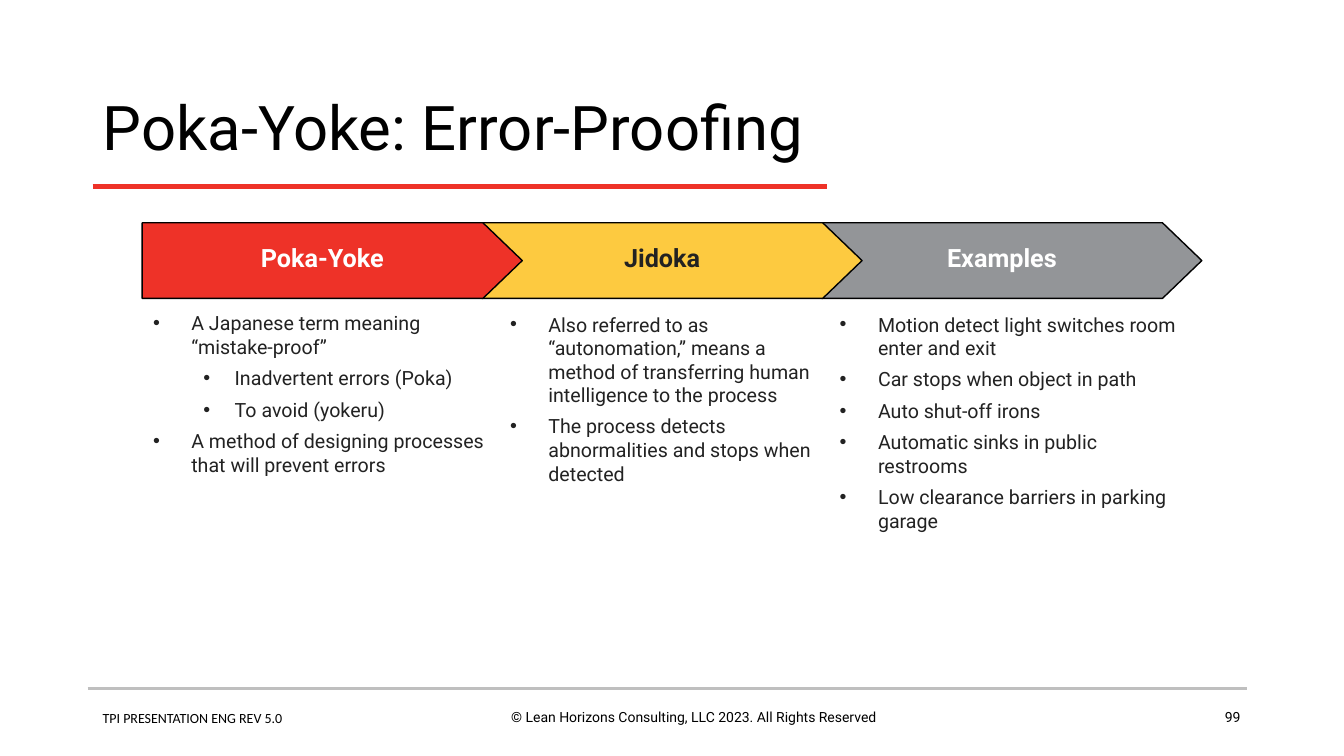
"""Build the Poka-Yoke error-proofing slide."""
import lxml.etree
import pptx
import pptx.dml.color
import pptx.enum.shapes
import pptx.enum.text
import pptx.oxml.ns
import pptx.util

WIDTH, HEIGHT = pptx.util.Inches(13.33), pptx.util.Inches(7.5)
ALIGN = pptx.enum.text.PP_ALIGN
MIDDLE = pptx.enum.text.MSO_ANCHOR.MIDDLE
INDENTS = [(0.38, -0.38), (0.81, -0.31)]
ARROW_LEFT, ARROW_STEP = 10.58, 25.28
COLUMNS = [
    ("Poka-Yoke", "EE3228", "FFFFFF", (10.65, 40.53, 26.18, 32.8), [
        (0, "A Japanese term meaning “mistake-proof”"),
        (1, "Inadvertent errors (Poka)"),
        (1, "To avoid (yokeru)"),
        (0, "A method of designing processes that will prevent errors")]),
    ("Jidoka", "FDCA40", "222222", (37.21, 40.67, 24.31, 32.8), [
        (0, "Also referred to as “autonomation,” means a method of "
            "transferring human intelligence to the process"),
        (0, "The process detects abnormalities and stops when detected")]),
    ("Examples", "939598", "FFFFFF", (61.74, 40.67, 26.56, 32.8), [
        (0, "Motion detect light switches room enter and exit"),
        (0, "Car stops when object in path"),
        (0, "Auto shut-off irons"),
        (0, "Automatic sinks in public restrooms"),
        (0, "Low clearance barriers in parking garage")]),
]


def color(target, value):
    """Set a colour format from a hex string."""
    target.rgb = pptx.dml.color.RGBColor.from_string(value)


def x(share):
    """Turn a percentage of the slide width into a length."""
    return int(WIDTH * share / 100)


def y(share):
    """Turn a percentage of the slide height into a length."""
    return int(HEIGHT * share / 100)


def box(left, top, width, height):
    """Turn a box in percent of the slide into lengths."""
    return x(left), y(top), x(width), y(height)


def write(p, text, size=10, font="Roboto", fill="000000", bold=False,
          align=ALIGN.LEFT, spacing=None):
    """Write one formatted run into a paragraph."""
    p.alignment = align
    p.line_spacing = spacing
    r = p.add_run()
    r.text = text
    r.font.size = pptx.util.Pt(size)
    r.font.name = font
    r.font.bold = bold
    color(r.font.color, fill)


def add_text(s, area):
    """Add a wrapping text box and return its text frame."""
    tf = s.shapes.add_textbox(*box(*area)).text_frame
    tf.word_wrap = True
    return tf


def add_title(s, text):
    """Place and format the title placeholder."""
    sp = s.shapes.title
    sp.left, sp.top, sp.width, sp.height = box(6.9, 9.87, 86.27, 14.67)
    sp.text_frame.vertical_anchor = MIDDLE
    write(sp.text_frame.paragraphs[0], text, size=44, spacing=0.9)


def add_rule(s, left, right, top, fill, width):
    """Draw a horizontal line."""
    sp = s.shapes.add_connector(pptx.enum.shapes.MSO_CONNECTOR.STRAIGHT,
                                x(left), y(top), x(right), y(top))
    color(sp.line.color, fill)
    sp.line.width = pptx.util.Pt(width)
    lxml.etree.SubElement(sp._element.spPr, pptx.oxml.ns.qn("a:effectLst"))


def add_arrow(s, left, text, fill, ink):
    """Draw a heading arrow."""
    sp = s.shapes.add_shape(pptx.enum.shapes.MSO_SHAPE.PENTAGON,
                            *box(left, 29.47, 28.28, 10))
    sp.adjustments[0] = 0.52
    sp.shadow.inherit = False
    sp.fill.solid()
    color(sp.fill.fore_color, fill)
    color(sp.line.color, "000000")
    sp.line.width = pptx.util.Pt(1)
    tf = sp.text_frame
    tf.word_wrap = False
    tf.vertical_anchor = MIDDLE
    write(tf.paragraphs[0], text, size=18, fill=ink, bold=True,
          align=ALIGN.CENTER, spacing=0.8)


def add_bullets(s, area, items):
    """Add a bulleted list of (level, text) items."""
    tf = add_text(s, area)
    for i, (level, text) in enumerate(items):
        p = tf.add_paragraph() if i else tf.paragraphs[0]
        p.level = level
        p.space_before = pptx.util.Pt(2.8 if i else 0)
        p.space_after = pptx.util.Pt(2.8)
        pPr = p._p.get_or_add_pPr()
        for name, length in zip(("marL", "indent"), INDENTS[level]):
            pPr.set(name, str(pptx.util.Inches(length)))
        for tag, key, value in (("a:buFont", "typeface", "Arial"),
                                ("a:buChar", "char", "•")):
            lxml.etree.SubElement(pPr, pptx.oxml.ns.qn(tag)).set(key, value)
        write(p, text, size=14, fill="222222")


def add_footer(s):
    """Add the footer rule, texts and page number."""
    add_rule(s, 6.53, 92.8, 91.07, "BFBFBF", 2)
    for area, text, font, align in (
            ((34.51, 93.07, 34.21, 5.87),
             "© Lean Horizons Consulting, LLC 2023. All Rights Reserved",
             "Roboto", ALIGN.CENTER),
            ((6.9, 93.2, 27, 5.87), "TPI PRESENTATION ENG REV 5.0",
             "Calibri", ALIGN.LEFT),
            ((70.52, 93.07, 22.51, 4.8), "99", "Roboto", ALIGN.RIGHT)):
        write(add_text(s, area).paragraphs[0], text, font=font, align=align)


def main():
    """Build and save the slide."""
    prs = pptx.Presentation()
    prs.slide_width, prs.slide_height = WIDTH, HEIGHT
    s = prs.slides.add_slide(prs.slide_layouts[5])
    add_footer(s)
    add_rule(s, 6.9, 61.52, 24.67, "EE3228", 3)
    add_title(s, "Poka-Yoke: Error-Proofing")
    for i, (heading, fill, ink, area, items) in reversed(
            list(enumerate(COLUMNS))):
        add_arrow(s, ARROW_LEFT + i * ARROW_STEP, heading, fill, ink)
        add_bullets(s, area, items)
    prs.save("out.pptx")


if __name__ == "__main__":
    main()
